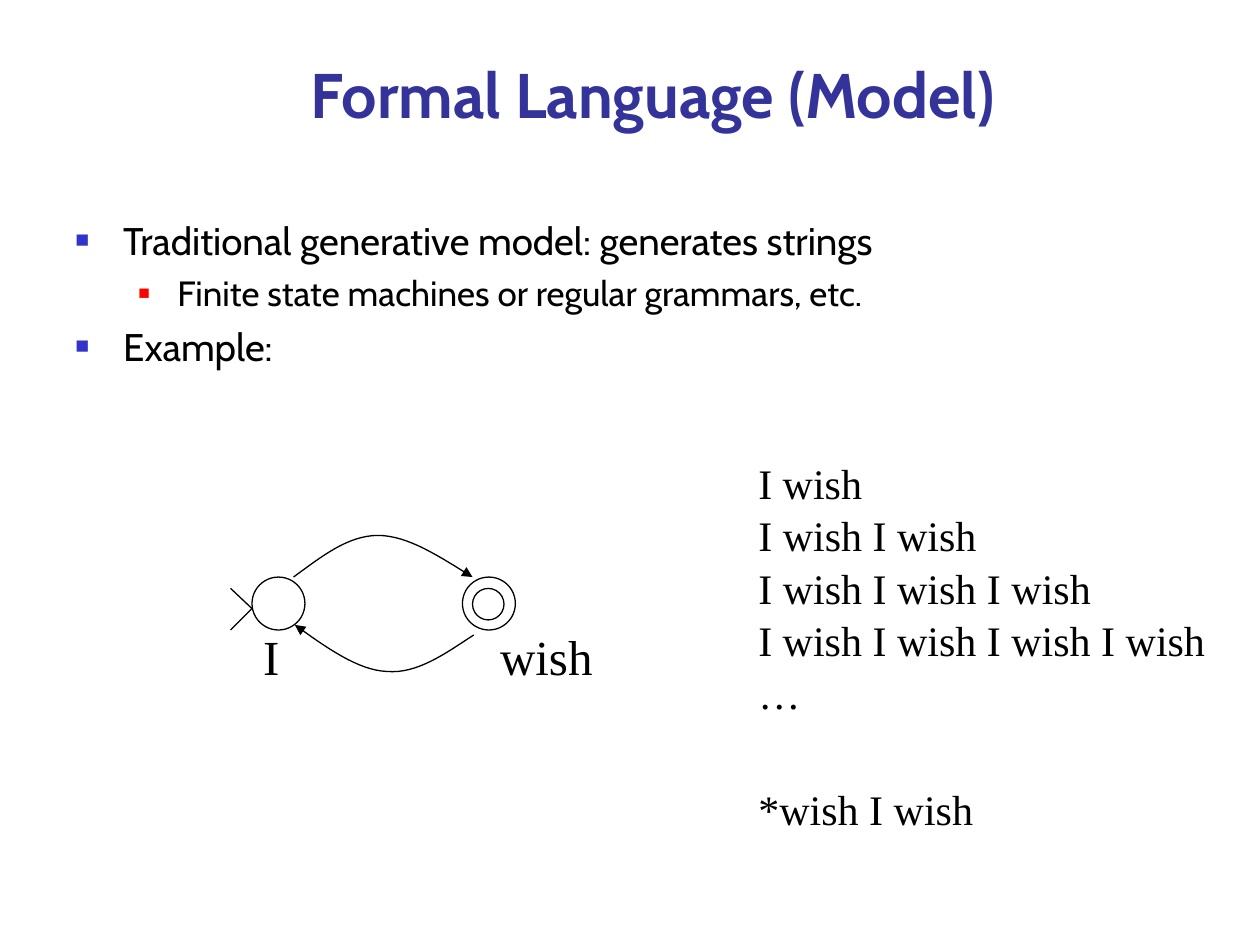
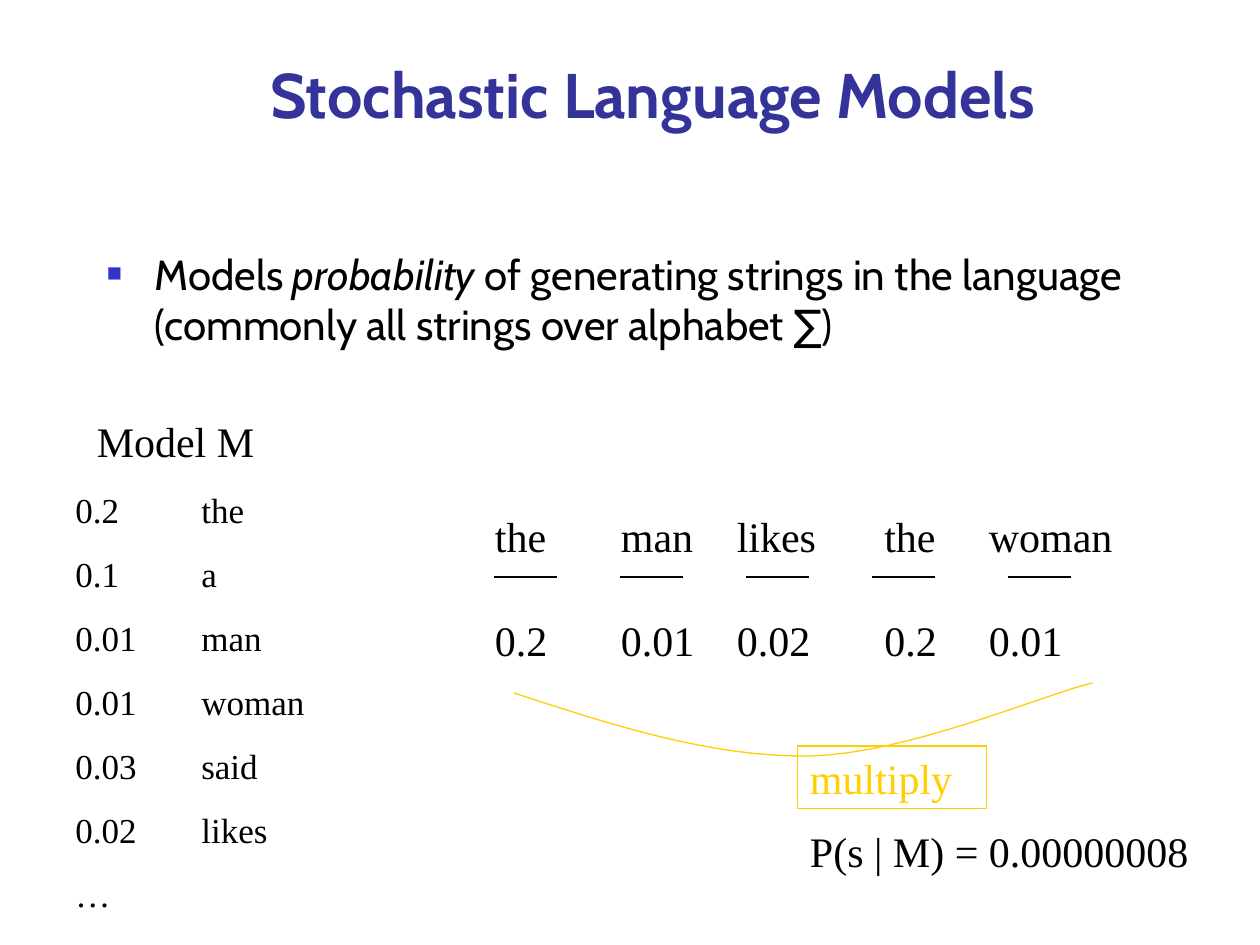
from lxml.etree import SubElement as Sub
from pptx import Presentation
from pptx.dml.color import RGBColor as RGB
from pptx.enum.shapes import MSO_CONNECTOR as LINE, MSO_SHAPE as FORM
from pptx.enum.text import MSO_ANCHOR as ANCHOR, MSO_AUTO_SIZE as FIT, PP_ALIGN as ALIGN
from pptx.oxml.ns import qn
from pptx.util import Inches, Pt

INK = {"title": "333399", "text": "000000", "gold": "FFCF01",
       "mark": "3333CC", "submark": "FF0000"}
SANS, SERIF = "Cabin", "Times New Roman"
STEPS = 16  # segments per curve section
# Bullet levels: left margin, hanging indent, colour, size in percent
LEVELS = [(0.38, 0.38, "mark", 60), (0.81, 0.31, "submark", 55)]


def bezier(a, b, c, d, t):
    """Point at t on the cubic curve a, b, c, d."""
    u = 1 - t
    return tuple(u**3 * p + 3 * u * u * t * q + 3 * u * t * t * r + t**3 * s
                 for p, q, r, s in zip(a, b, c, d))


class Deck:
    def __init__(self):
        self.prs = Presentation()
        self.prs.slide_width, self.prs.slide_height = Inches(10), Inches(7.5)
        self.slide = None

    def style(self, para, size, font=SERIF, ink="text"):
        para.font.size, para.font.name = Pt(size), font
        para.font.color.rgb = RGB.from_string(INK[ink])

    def stroke(self, shape, ink="text"):
        shape.line.color.rgb = RGB.from_string(INK[ink])
        shape.line.width = Pt(0.75)

    def page(self, title):
        self.slide = self.prs.slides.add_slide(self.prs.slide_layouts[5])
        head = self.slide.shapes.title
        head.left, head.top = Inches(0.92), Inches(0.42)
        head.width, head.height = Inches(8.52), Inches(0.67)
        frame = head.text_frame
        frame.text = title
        frame.auto_size, frame.vertical_anchor = FIT.NONE, ANCHOR.BOTTOM
        para = frame.paragraphs[0]
        para.alignment = ALIGN.CENTER
        self.style(para, 36, SANS, "title")
        para.font.bold = True

    def box(self, x, y, w, h):
        box = self.slide.shapes.add_textbox(Inches(x), Inches(y), Inches(w), Inches(h))
        box.text_frame.word_wrap = True
        return box

    def text(self, x, y, w, lines, size=24, h=0.5, gap=0, ink="text", tab=None):
        box = self.box(x, y, w, h)
        box.text_frame.text = lines
        for para in box.text_frame.paragraphs:
            para.space_before = Pt(gap)
            if tab:
                stops = Sub(para._p.get_or_add_pPr(), qn("a:tabLst"))
                Sub(stops, qn("a:tab"), pos=str(Inches(tab)), algn="l")
            self.style(para, size, ink=ink)
        return box

    def bullets(self, x, y, w, h, items):
        """Each item is (level, size, runs); every second run is italic."""
        frame = self.box(x, y, w, h).text_frame
        for i, (level, size, runs) in enumerate(items):
            para = frame.add_paragraph() if i else frame.paragraphs[0]
            para.level, para.space_before = level, Pt(size / 4)
            for j, words in enumerate(runs):
                run = para.add_run()
                run.text = words
                if j % 2:
                    run.font.italic = True
            margin, hang, ink, scale = LEVELS[level]
            props = para._p.get_or_add_pPr()
            props.set("marL", str(Inches(margin)))
            props.set("indent", str(-Inches(hang)))
            Sub(Sub(props, qn("a:buClr")), qn("a:srgbClr"), val=INK[ink])
            Sub(props, qn("a:buSzPct"), val=str(scale * 1000))
            Sub(props, qn("a:buFont"), typeface=SERIF)
            Sub(props, qn("a:buChar"), char="■")
            self.style(para, size, SANS)

    def ring(self, x, y, size):
        ring = self.slide.shapes.add_shape(
            FORM.OVAL, Inches(x), Inches(y), Inches(size), Inches(size))
        ring.shadow.inherit = False
        ring.fill.background()
        self.stroke(ring)

    def line(self, x1, y1, x2, y2):
        line = self.slide.shapes.add_connector(
            LINE.STRAIGHT, Inches(x1), Inches(y1), Inches(x2), Inches(y2))
        self.stroke(line)
        Sub(line._element.spPr, qn("a:effectLst"))

    def curve(self, pts, ink="text", arrow=False):
        """Smooth open path; pts holds a start and three points per section."""
        path = [bezier(*pts[i:i + 4], k / STEPS)
                for i in range(0, len(pts) - 1, 3) for k in range(1, STEPS + 1)]
        pen = self.slide.shapes.build_freeform(*map(Inches, pts[0]))
        pen.add_line_segments([(Inches(x), Inches(y)) for x, y in path], close=False)
        shape = pen.convert_to_shape()
        shape.shadow.inherit = False
        shape.fill.background()
        self.stroke(shape, ink)
        if arrow:
            Sub(shape.line._get_or_add_ln(), qn("a:tailEnd"), type="triangle")


def formal(deck):
    deck.page("Formal Language (Model)")
    deck.bullets(0.5, 1.67, 8.5, 1.58, [
        (0, 22, ["Traditional generative model: generates strings"]),
        (1, 20, ["Finite state machines or regular grammars, etc."]),
        (0, 22, ["Example:"])])

    # State machine
    for x in (2, 3.67):
        deck.ring(x, 4.58, 0.42)
    deck.ring(3.75, 4.67, 0.25)
    deck.curve([(2.33, 4.58), (2.55, 4.42), (2.76, 4.25), (3, 4.25),
                (3.24, 4.25), (3.49, 4.42), (3.75, 4.58)], arrow=True)
    deck.curve([(3.76, 5.04), (3.53, 5.19), (3.31, 5.35), (3.07, 5.33),
                (2.84, 5.32), (2.59, 5.14), (2.34, 4.96)], arrow=True)
    for y in (4.67, 5):
        deck.line(1.83, y, 2, 4.83)
    for x, w, word in ((1.99, 0.38, "I"), (3.87, 0.98, "wish")):
        deck.text(x, 4.92, w, word, size=28, h=0.57)

    # Generated strings
    left, top, pitch = 5.92, 3.58, 5 / 12
    for n in range(4):
        deck.text(left, top + n * pitch, 0.16 + 0.91 * (n + 1),
                  " ".join(["I wish"] * (n + 1)))
    deck.text(left, top + 4 * pitch, 0.58, "…")
    deck.text(left, 6.17, 1.95, "*wish I wish")


def stochastic(deck):
    deck.page("Stochastic Language Models")
    deck.bullets(0.75, 1.92, 8.5, 1.19, [
        (0, 24, ["Models ", "probability",
                 " of generating strings in the language"
                 " (commonly all strings over alphabet ∑)"])])

    # Model table
    model = [("0.2", "the"), ("0.1", "a"), ("0.01", "man"), ("0.01", "woman"),
             ("0.03", "said"), ("0.02", "likes")]
    rows = ["\t".join(pair) for pair in model] + ["…"]
    deck.text(0.5, 3.83, 2.67, "\n".join(rows), size=20, h=3.48, gap=12.5, tab=1)
    deck.text(0.67, 3.25, 1.5, "Model M")

    # Sentence with the chance of each word
    words = [(3.83, 0.67, "the", "0.2", 3.92), (4.83, 0.83, "man", "0.01", 4.92),
             (5.75, 0.83, "likes", "0.02", 5.92), (6.92, 0.83, "the", "0.2", 6.92),
             (7.75, 1.5, "woman", "0.01", 8)]
    for x, w, word, chance, rule in words:
        deck.text(x, 4, w, word)
        deck.line(rule, 4.58, rule + 0.5, 4.58)
        deck.text(x, 4.83, w, chance)

    # Product
    deck.curve([(4.08, 5.5), (4.87, 5.76), (5.65, 6.01), (6.42, 6),
                (7.18, 5.99), (8.29, 5.51), (8.67, 5.42)], ink="gold")
    deck.stroke(deck.text(6.33, 5.92, 1.5, "multiply", ink="gold"), "gold")
    deck.text(6.33, 6.5, 3.25, "P(s | M) = 0.00000008")


def main():
    deck = Deck()
    formal(deck)
    stochastic(deck)
    deck.prs.save("out.pptx")


if __name__ == "__main__":
    main()
